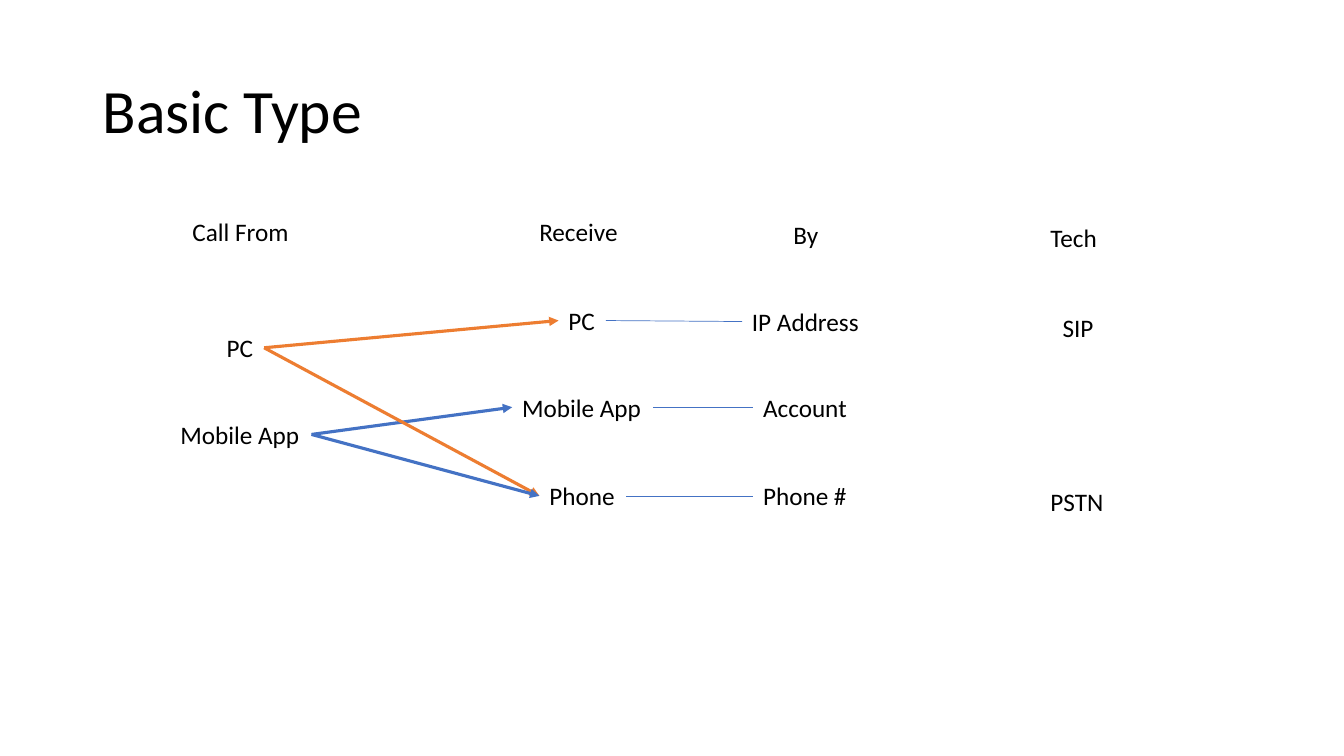
from lxml import etree
from pptx import Presentation
from pptx.dml.color import RGBColor
from pptx.enum import shapes, text
from pptx.oxml import ns
from pptx.util import Inches, Pt

BLACK = RGBColor(0x00, 0x00, 0x00)
BLUE = RGBColor(0x44, 0x72, 0xC4)
ORANGE = RGBColor(0xED, 0x7D, 0x31)
FONT = "Calibri"
LABEL_HEIGHT = 0.4
LEFT_SITE, RIGHT_SITE = 1, 3

# Content: each column lists (label, left, top, width)
TITLE = "Basic Type"
COLUMNS = {
    "from": [("Call From", 1.81, 2.1, 1.17), ("PC", 2.15, 3.25, 0.47),
             ("Mobile App", 1.69, 4.11, 1.4)],
    "receive": [("Receive", 5.25, 2.1, 0.99), ("PC", 5.54, 2.98, 0.47),
                ("Mobile App", 5.08, 3.84, 1.4), ("Phone", 5.35, 4.72, 0.86)],
    "by": [("By", 7.77, 2.13, 0.45), ("IP Address", 7.36, 2.99, 1.27),
           ("Account", 7.47, 3.84, 1.04), ("Phone #", 7.47, 4.72, 1.04)],
    "tech": [("Tech", 10.32, 2.16, 0.67), ("SIP", 10.44, 3.05, 0.51),
             ("PSTN", 10.32, 4.78, 0.73)],
}
CALLS = [("PC", "PC", ORANGE), ("Mobile App", "Mobile App", BLUE),
         ("PC", "Phone", ORANGE), ("Mobile App", "Phone", BLUE)]
ADDRESSES = [("PC", "IP Address"), ("Mobile App", "Account"), ("Phone", "Phone #")]

deck = Presentation()
deck.slide_width, deck.slide_height = Inches(13.33), Inches(7.5)
slide = deck.slides.add_slide(deck.slide_layouts[6])


def add_text(words, left, top, width, height, size):
    box = slide.shapes.add_textbox(*map(Inches, (left, top, width, height)))
    box.text_frame.text = words
    font = box.text_frame.paragraphs[0].runs[0].font
    font.name, font.size, font.color.rgb = FONT, Pt(size), BLACK
    return box


def link(start, end, color, weight, arrow=False):
    line = slide.shapes.add_connector(shapes.MSO_CONNECTOR.STRAIGHT, 0, 0, 0, 0)
    line.begin_connect(start, RIGHT_SITE)
    line.end_connect(end, LEFT_SITE)
    line.line.color.rgb, line.line.width = color, Pt(weight)
    if arrow:
        etree.SubElement(line.line._get_or_add_ln(), ns.qn("a:tailEnd"), type="triangle")
    etree.SubElement(line._element.spPr, ns.qn("a:effectLst"))


# Title
title = add_text(TITLE, 0.92, 0.4, 11.5, 1.45, 44)
title.text_frame.word_wrap = True
title.text_frame.vertical_anchor = text.MSO_ANCHOR.MIDDLE
title.text_frame.paragraphs[0].line_spacing = 0.9

# Column headings and entries
labels = {}
for column, entries in COLUMNS.items():
    for words, left, top, width in entries:
        label = add_text(words, left, top, width, LABEL_HEIGHT, 18)
        label.text_frame.word_wrap = False
        label.text_frame.auto_size = text.MSO_AUTO_SIZE.SHAPE_TO_FIT_TEXT
        labels[column, words] = label

# Calls from caller to receiver
for caller, receiver, color in CALLS:
    link(labels["from", caller], labels["receive", receiver], color, 2.25, arrow=True)

# Lines from receiver to its address
for receiver, address in ADDRESSES:
    link(labels["receive", receiver], labels["by", address], BLUE, 0.5)

deck.save("out.pptx")
